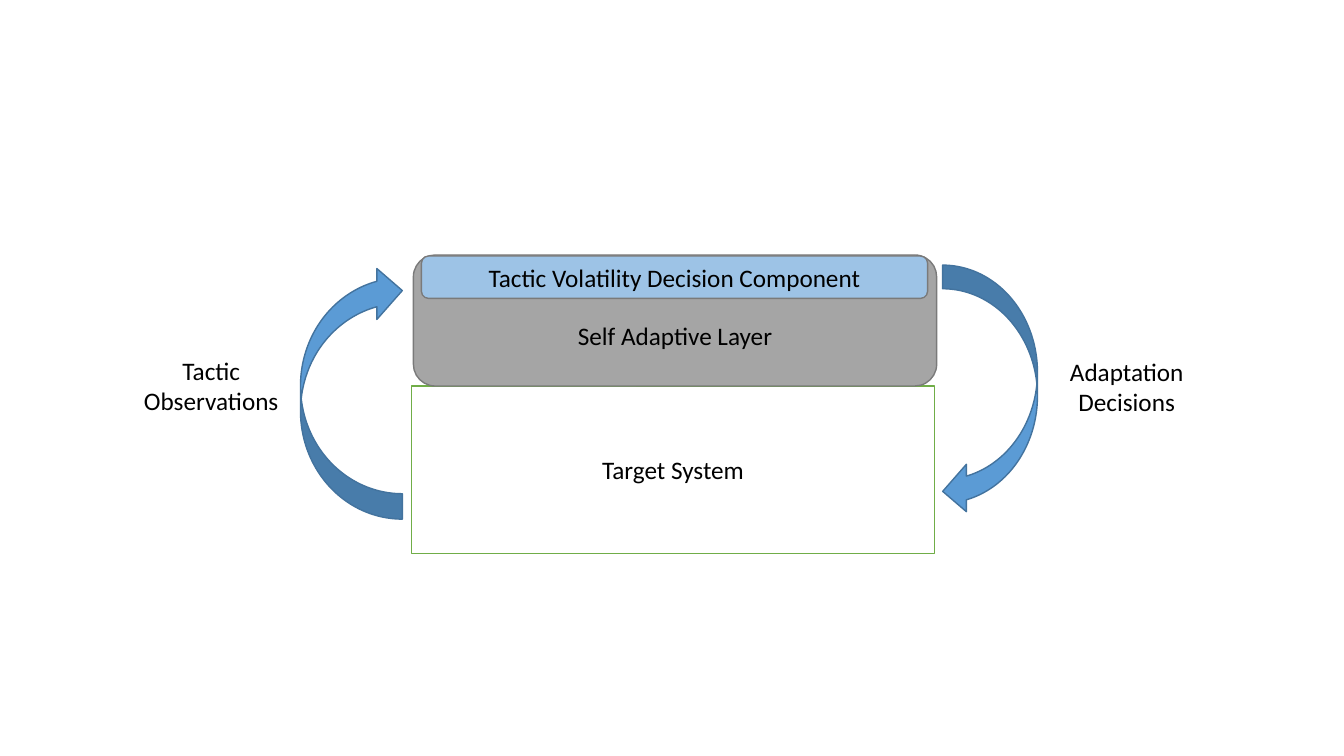
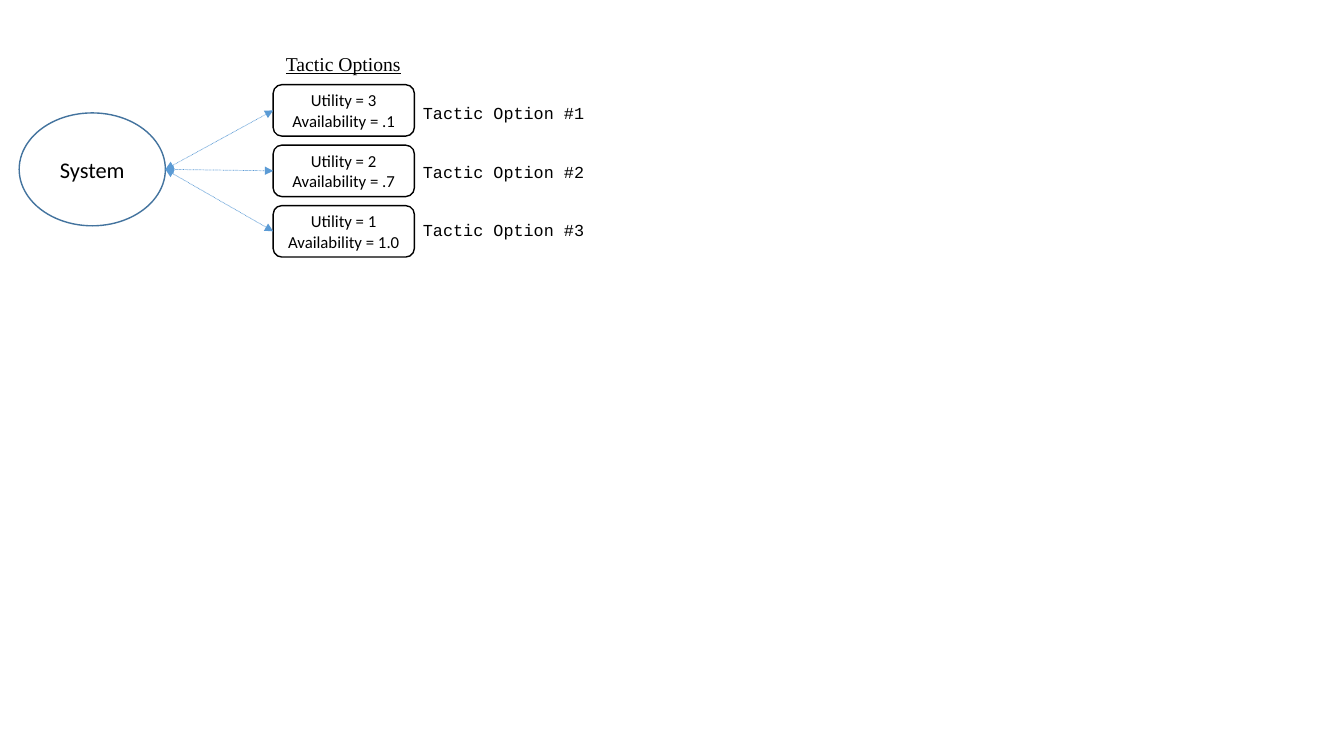
from lxml import etree
from pptx import Presentation
from pptx.dml.color import RGBColor
from pptx.enum.dml import MSO_LINE
from pptx.enum.shapes import MSO_CONNECTOR, MSO_SHAPE
from pptx.enum.text import MSO_ANCHOR, PP_ALIGN
from pptx.oxml.ns import qn
from pptx.util import Inches, Pt

RECT = MSO_SHAPE.RECTANGLE
ROUNDED = MSO_SHAPE.ROUNDED_RECTANGLE
OVAL = MSO_SHAPE.OVAL
CURVED_ARROW = MSO_SHAPE.CURVED_LEFT_ARROW
STRAIGHT = MSO_CONNECTOR.STRAIGHT
DOTTED = MSO_LINE.ROUND_DOT
CENTER = PP_ALIGN.CENTER
MIDDLE = MSO_ANCHOR.MIDDLE
LEFT_SIDE = 1

BLACK, WHITE = "000000", "FFFFFF"
BLUE, DARK_BLUE, LIGHT_BLUE = "5B9BD5", "43739E", "9DC3E6"
GRAY, DARK_GRAY, GREEN = "A5A5A5", "7A7A7A", "70AD47"


def rgb(color):
    return RGBColor.from_string(color)


class Deck:
    font = "Calibri"
    size = 18
    line_width = 1

    def __init__(self):
        self.prs = Presentation()
        self.prs.slide_width = Inches(13.33)
        self.prs.slide_height = Inches(7.5)
        self.s = None

    def new_slide(self):
        self.s = self.prs.slides.add_slide(self.prs.slide_layouts[6])

    def set_text(self, sp, text, top_inset=0, **fmt):
        """Centre text in a shape, one paragraph per line; fmt overrides the font."""
        tf = sp.text_frame
        frame = {"word_wrap": True, "vertical_anchor": MIDDLE,
                 "margin_left": 0, "margin_right": 0,
                 "margin_top": Inches(top_inset), "margin_bottom": 0}
        for name, value in frame.items():
            setattr(tf, name, value)
        style = {"name": self.font, "size": Pt(self.size), **fmt}
        for i, line in enumerate(text.split("\n")):
            p = tf.add_paragraph() if i else tf.paragraphs[0]
            p.alignment = CENTER
            r = p.add_run()
            r.text = line
            r.font.color.rgb = rgb(BLACK)
            for name, value in style.items():
                setattr(r.font, name, value)

    def shape(self, kind, at, fill, line, text="", **fmt):
        sp = self.s.shapes.add_shape(kind, *map(Inches, at))
        sp.shadow.inherit = False
        sp.fill.solid()
        sp.fill.fore_color.rgb = rgb(fill)
        sp.line.color.rgb = rgb(line)
        sp.line.width = Pt(self.line_width)
        if text:
            self.set_text(sp, text, **fmt)
        return sp

    def label(self, at, text, **fmt):
        sp = self.s.shapes.add_textbox(*map(Inches, at))
        self.set_text(sp, text, **fmt)

    def dotted_arrow(self, x, y, target):
        """Draw a two-headed arrow from a point to the left side of target."""
        cxn = self.s.shapes.add_connector(
            STRAIGHT, Inches(x), Inches(y), Inches(x), Inches(y))
        cxn.end_connect(target, LEFT_SIDE)
        cxn.line.color.rgb = rgb(BLUE)
        cxn.line.width = Pt(0.5)
        cxn.line.dash_style = DOTTED
        props = cxn._element.spPr
        for end in ("a:headEnd", "a:tailEnd"):
            etree.SubElement(props.find(qn("a:ln")), qn(end), type="triangle")
        etree.SubElement(props, qn("a:effectLst"))


def build_layers(deck):
    deck.new_slide()
    deck.shape(RECT, (4.08, 3.83, 5.19, 1.66), WHITE, GREEN, "Target System")
    deck.shape(ROUNDED, (4.1, 2.53, 5.19, 1.3), GRAY, DARK_GRAY,
               "Self Adaptive Layer", top_inset=0.3)
    deck.shape(CURVED_ARROW, (9.35, 2.63, 0.94, 2.48), BLUE, DARK_BLUE)
    upward = deck.shape(CURVED_ARROW, (2.98, 2.63, 1.01, 2.52), BLUE, DARK_BLUE)
    upward.rotation = 180
    deck.shape(ROUNDED, (4.18, 2.54, 5.02, 0.42), LIGHT_BLUE, DARK_GRAY,
               "Tactic Volatility Decision Component")
    deck.label((10.37, 3.48, 1.61, 0.71), "Adaptation Decisions")
    deck.label((1.29, 3.47, 1.61, 0.71), "Tactic Observations")


def build_options(deck):
    deck.new_slide()
    deck.shape(OVAL, (0.19, 1.12, 1.45, 1.12), WHITE, DARK_BLUE, "System",
               size=Pt(16))
    deck.label((2.73, 0.46, 1.35, 0.34), "Tactic Options",
               name="Times New Roman", size=Pt(14), underline=True)
    options = [("3", ".1"), ("2", ".7"), ("1", "1.0")]
    for i, (utility, availability) in enumerate(options):
        box = deck.shape(ROUNDED, (2.71, 0.84 + 0.6 * i, 1.4, 0.51), WHITE, BLACK,
                         f"Utility = {utility}\nAvailability = {availability}",
                         size=Pt(12))
        deck.label((4.08, 0.97 + 0.58 * i, 1.83, 0.3), f"Tactic Option #{i + 1}",
                   name="Courier New", size=Pt(12))
        deck.dotted_arrow(1.64, 1.68, box)


def main():
    deck = Deck()
    build_layers(deck)
    build_options(deck)
    deck.prs.save("out.pptx")


if __name__ == "__main__":
    main()
